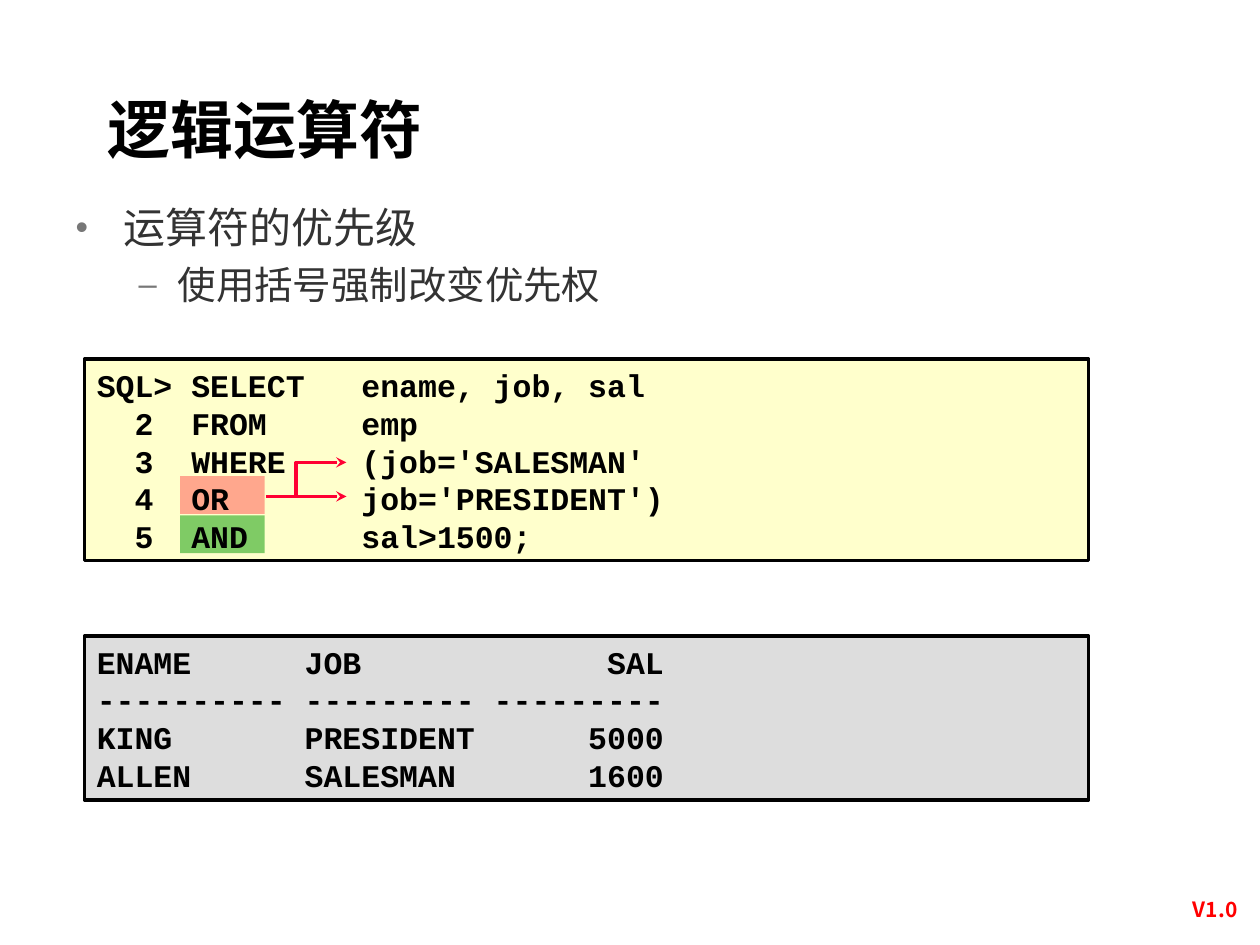
from lxml import etree
from pptx import Presentation
from pptx.dml.color import RGBColor
from pptx.enum.dml import MSO_FILL
from pptx.enum.shapes import MSO_CONNECTOR, MSO_SHAPE
from pptx.enum.text import MSO_ANCHOR, MSO_AUTO_SIZE, PP_ALIGN
from pptx.oxml.ns import qn
from pptx.util import Inches, Pt

RECTANGLE = MSO_SHAPE.RECTANGLE
STRAIGHT = MSO_CONNECTOR.STRAIGHT
SOLID = MSO_FILL.SOLID
TOP, MIDDLE = MSO_ANCHOR.TOP, MSO_ANCHOR.MIDDLE
LEFT, CENTER = PP_ALIGN.LEFT, PP_ALIGN.CENTER
NO_AUTOFIT = MSO_AUTO_SIZE.NONE
SANS, MONO = "Noto Sans CJK SC", "Courier New"
QUERY = """SQL> SELECT   ename, job, sal
  2  FROM     emp
  3  WHERE    (job='SALESMAN'
  4  OR       job='PRESIDENT')
  5  AND      sal>1500;"""
RESULT = """ENAME      JOB             SAL
---------- --------- ---------
KING       PRESIDENT      5000
ALLEN      SALESMAN       1600"""


def rgb(color):
    """Turn a hex string into a colour."""
    return RGBColor.from_string(color)


def inches(box):
    """Turn a box of numbers into lengths."""
    return [Inches(value) for value in box]


def add_node(parent, tag, **attributes):
    """Append a drawing element to a parent."""
    return etree.SubElement(parent, qn(tag), attributes)


def style(paragraph, size, font, color, bold=False, align=LEFT):
    """Set the alignment and font of a paragraph."""
    paragraph.alignment = align
    paragraph.font.size = Pt(size)
    paragraph.font.bold = bold
    paragraph.font.color.rgb = rgb(color)
    paragraph.font.name = font
    add_node(paragraph._p.pPr.find(qn("a:defRPr")), "a:ea", typeface=font)


def place(shape, box):
    """Move a placeholder into a box and anchor its text at the top."""
    shape.left, shape.top, shape.width, shape.height = inches(box)
    shape.text_frame.auto_size = NO_AUTOFIT
    shape.text_frame.vertical_anchor = TOP
    shape.text_frame.word_wrap = True


def fill_title(title, box, text):
    """Write the slide title."""
    place(title, box)
    title.text_frame.text = text
    style(title.text_frame.paragraphs[0], 36, SANS, "000000", True)


def fill_list(body, box, items):
    """Write bulleted items given as text, level, size, bullet, margin and hanging."""
    place(body, box)
    body.text_frame.text = "\n".join(item[0] for item in items)
    for paragraph, item in zip(body.text_frame.paragraphs, items):
        _, level, size, bullet, margin, hanging = item
        paragraph.level = level
        paragraph.line_spacing = 1.2
        paragraph.space_before = Pt(0)
        properties = paragraph._p.get_or_add_pPr()
        properties.set("marL", str(Inches(margin)))
        properties.set("indent", str(-Inches(hanging)))
        add_node(add_node(properties, "a:buClr"), "a:srgbClr", val="777777")
        add_node(properties, "a:buSzPct", val="85000")
        add_node(properties, "a:buChar", char=bullet)
        style(paragraph, size, SANS, "333333")


def add_panel(shapes, box, fill, outline=None, opacity=None):
    """Add a filled rectangle, outlined or translucent."""
    panel = shapes.add_shape(RECTANGLE, *inches(box))
    panel.shadow.inherit = False
    panel.fill.solid()
    panel.fill.fore_color.rgb = rgb(fill)
    if opacity and panel.fill.type == SOLID:
        color = panel._element.spPr.find(qn("a:solidFill"))[0]
        add_node(color, "a:alpha", val=str(opacity * 1000))
    if outline:
        panel.line.color.rgb = rgb(outline)
        panel.line.width = Pt(2)
    else:
        panel.line.fill.background()
    return panel


def write_code(shape, code):
    """Write lines of code, centred vertically in a shape."""
    frame = shape.text_frame
    frame.word_wrap = True
    frame.vertical_anchor = MIDDLE
    frame.text = code
    for paragraph in frame.paragraphs:
        style(paragraph, 18, MONO, "000000", True)


def make_arrow(path):
    """Give a path a red line with a stealth head."""
    path.line.color.rgb = rgb("FF0033")
    path.line.width = Pt(2)
    add_node(path.line._get_or_add_ln(), "a:tailEnd", type="stealth")


def add_or_branch(slide, box):
    """Mark the OR row and point from it to both of its conditions."""
    left, top, width, height = box
    right, bottom = left + width, top + height
    row_top, bend, start = bottom - 0.3, left + 0.92, left + 0.68
    arrow_y = row_top + 0.16
    group = slide.shapes.add_group_shape().shapes
    add_panel(group, (left, row_top, 0.67, 0.3), "FF5050", opacity=50)
    builder = group.build_freeform(Inches(bend), Inches(arrow_y))
    builder.add_line_segments(
        [inches((bend, top)), inches((right, top))], close=False)
    branch = builder.convert_to_shape()
    branch.shadow.inherit = False
    branch.fill.background()
    make_arrow(branch)
    straight = group.add_connector(
        STRAIGHT, *inches((start, arrow_y, right, arrow_y)))
    make_arrow(straight)
    add_node(straight._element.spPr, "a:effectLst")


def add_query(slide, box):
    """Add the query panel with its marked operators."""
    left, top, width, height = box
    add_panel(slide.shapes, box, "FFFFCC", "000000")
    add_or_branch(slide, (left + 0.76, top + 0.82, 1.32, 0.41))
    add_panel(slide.shapes, (left + 0.76, top + 1.24, 0.67, 0.3),
              "009900", opacity=50)
    code = slide.shapes.add_textbox(*inches((left, top - 0.01, 8, 1.63)))
    write_code(code, QUERY)


def add_result(slide, box):
    """Add the panel with the query result."""
    write_code(add_panel(slide.shapes, box, "DDDDDD", "000000"), RESULT)


def add_version(slide, box):
    """Add the version mark."""
    version = slide.shapes.add_textbox(*inches(box)).text_frame
    version.word_wrap = True
    version.text = "V1.0"
    style(version.paragraphs[0], 12, SANS, "FF0000", True, CENTER)


def main():
    """Build and save the slide."""
    deck = Presentation()
    deck.slide_width, deck.slide_height = inches((10, 7.5))
    slide = deck.slides.add_slide(deck.slide_layouts[1])
    fill_title(slide.shapes.title, (0.75, 0.67, 8.5, 0.8), "逻辑运算符")
    fill_list(slide.placeholders[1], (0.5, 1.47, 9.07, 0.54), [
        ("运算符的优先级", 0, 24, "•", 0.38, 0.38),
        ("使用括号强制改变优先权", 1, 22, "–", 0.81, 0.31),
    ])
    add_query(slide, (0.67, 2.85, 7.97, 1.6))
    add_result(slide, (0.67, 5.05, 7.97, 1.3))
    add_version(slide, (9.25, 7.07, 0.79, 0.3))
    deck.save("out.pptx")


if __name__ == "__main__":
    main()
